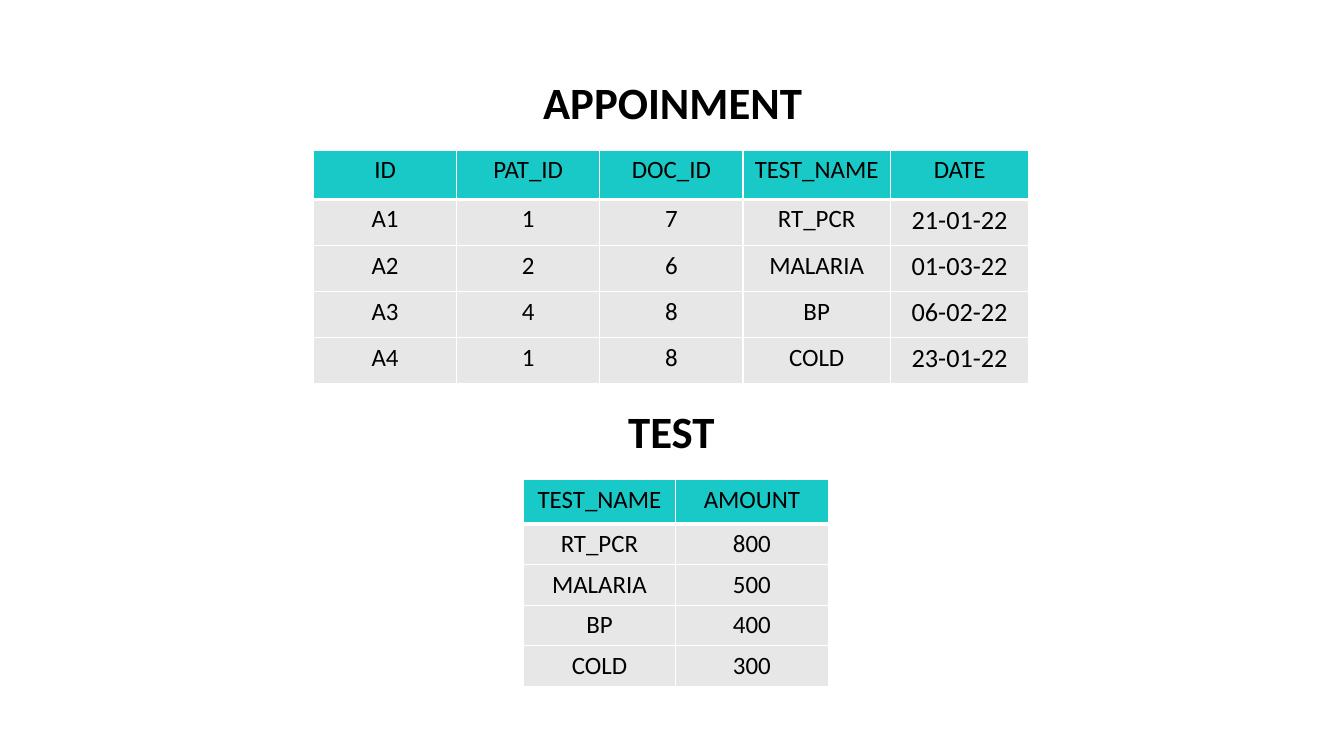
from dataclasses import dataclass

from lxml.etree import SubElement
from pptx import Presentation
from pptx.dml.color import RGBColor
from pptx.enum.text import MSO_ANCHOR, MSO_AUTO_SIZE, PP_ALIGN
from pptx.oxml.ns import qn
from pptx.shapes.base import BaseShape
from pptx.slide import Slide
from pptx.table import _Cell
from pptx.text.text import _Paragraph
from pptx.util import Cm, Pt


@dataclass(frozen=True)
class Theme:
    font: str = "Calibri"
    text: str = "000000"
    header_fill: str = "19C9C7"
    body_fill: str = "E7E7E7"
    border: str = "FFFFFF"
    heading_size: float = 34.1
    cell_size: float = 19
    date_size: float = 20
    border_width: float = 1
    header_rule_width: float = 3


@dataclass(frozen=True)
class Heading:
    text: str
    left: float
    top: float
    width: float
    height: float = 1.73


@dataclass(frozen=True)
class DataTable:
    left: float
    top: float
    column_widths: tuple[float, ...]
    header_height: float
    row_height: float
    rows: tuple[tuple[str, ...], ...]


THEME = Theme()

APPOINTMENT_HEADING = Heading("APPOINMENT", 14.07, 1.88, 8.03)
TEST_HEADING = Heading("TEST", 15.54, 10.74, 5.03)

APPOINTMENTS = DataTable(
    8.43, 4.04, (3.85, 3.85, 3.85, 3.96, 3.73), 1.32, 1.24,
    (
        ("ID", "PAT_ID", "DOC_ID", "TEST_NAME", "DATE"),
        ("A1", "1", "7", "RT_PCR", "21-01-22"),
        ("A2", "2", "6", "MALARIA", "01-03-22"),
        ("A3", "4", "8", "BP", "06-02-22"),
        ("A4", "1", "8", "COLD", "23-01-22"),
    ),
)
TESTS = DataTable(
    14.07, 12.9, (4.1, 4.1), 1.19, 1.09,
    (
        ("TEST_NAME", "AMOUNT"),
        ("RT_PCR", "800"),
        ("MALARIA", "500"),
        ("BP", "400"),
        ("COLD", "300"),
    ),
)


def format_paragraph(paragraph: _Paragraph, size: float, bold: bool) -> None:
    paragraph.alignment = PP_ALIGN.CENTER
    font = paragraph.font
    font.name = THEME.font
    font.size = Pt(size)
    font.bold = bold
    font.color.rgb = RGBColor.from_string(THEME.text)


def fill_heading(box: BaseShape, heading: Heading) -> None:
    box.left, box.top = Cm(heading.left), Cm(heading.top)
    box.width, box.height = Cm(heading.width), Cm(heading.height)
    frame = box.text_frame
    frame.text = heading.text
    frame.word_wrap = True
    frame.auto_size = MSO_AUTO_SIZE.SHAPE_TO_FIT_TEXT
    frame.vertical_anchor = MSO_ANCHOR.TOP
    format_paragraph(frame.paragraphs[0], THEME.heading_size, bold=True)


def add_borders(cell: _Cell, bottom_width: float) -> None:
    """Draw the four cell borders; call before the fill, which must follow them."""
    properties = cell._tc.get_or_add_tcPr()
    thin = THEME.border_width
    for side, width in (("L", thin), ("R", thin), ("T", thin), ("B", bottom_width)):
        line = SubElement(properties, qn(f"a:ln{side}"), w=str(Pt(width)))
        fill = SubElement(line, qn("a:solidFill"))
        SubElement(fill, qn("a:srgbClr"), val=THEME.border)


def fill_cell(cell: _Cell, text: str, is_header: bool, size: float) -> None:
    cell.text = text
    cell.margin_left = cell.margin_right = Cm(0.27)
    cell.margin_top = cell.margin_bottom = Cm(0.13)
    add_borders(cell, THEME.header_rule_width if is_header else THEME.border_width)
    cell.fill.solid()
    cell.fill.fore_color.rgb = RGBColor.from_string(
        THEME.header_fill if is_header else THEME.body_fill
    )
    format_paragraph(cell.text_frame.paragraphs[0], size, bold=False)


def add_data_table(page: Slide, data: DataTable) -> None:
    heights = [data.header_height] + [data.row_height] * (len(data.rows) - 1)
    table = page.shapes.add_table(
        len(data.rows), len(data.column_widths),
        Cm(data.left), Cm(data.top), Cm(sum(data.column_widths)), Cm(sum(heights)),
    ).table
    for column, width in zip(table.columns, data.column_widths):
        column.width = Cm(width)
    for row_index, (row, height) in enumerate(zip(table.rows, heights)):
        row.height = Cm(height)
        is_header = row_index == 0
        for column_index, text in enumerate(data.rows[row_index]):
            is_date = not is_header and data.rows[0][column_index] == "DATE"
            size = THEME.date_size if is_date else THEME.cell_size
            fill_cell(row.cells[column_index], text, is_header, size)


def main() -> None:
    deck = Presentation()
    deck.slide_width, deck.slide_height = Cm(36.14), Cm(20.32)
    title_only = deck.slide_layouts.get_by_name("Title Only")
    page = deck.slides.add_slide(title_only)
    fill_heading(page.shapes.title, APPOINTMENT_HEADING)
    add_data_table(page, TESTS)
    fill_heading(page.shapes.add_textbox(0, 0, 0, 0), TEST_HEADING)
    add_data_table(page, APPOINTMENTS)
    deck.save("out.pptx")


if __name__ == "__main__":
    main()
